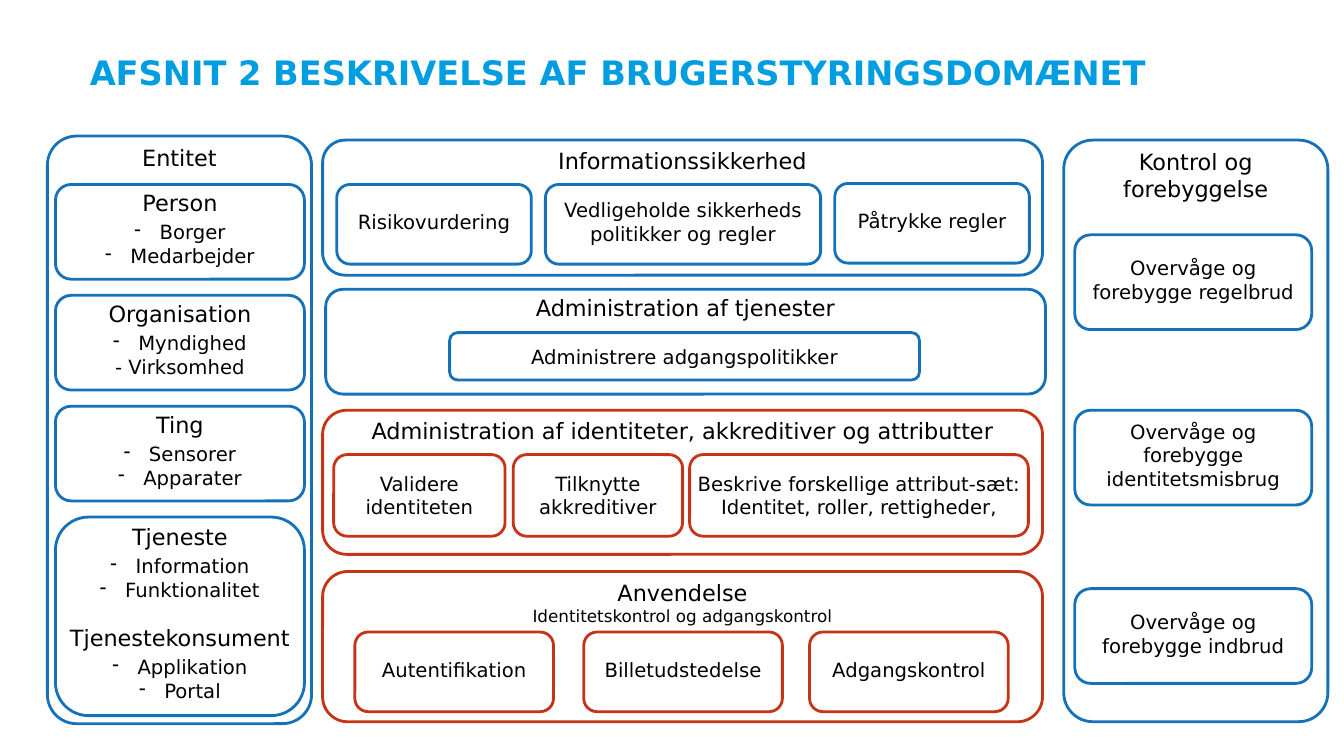
from lxml import etree
from pptx import Presentation
from pptx.dml.color import RGBColor
from pptx.enum.shapes import MSO_SHAPE as Shape
from pptx.enum.text import MSO_ANCHOR as Anchor, MSO_AUTO_SIZE as AutoSize, PP_ALIGN as Align
from pptx.oxml.ns import qn
from pptx.util import Inches, Pt

# Content
FONT = "DejaVu Sans"
BLUE = RGBColor(0x15, 0x72, 0xB9)
RED = RGBColor(0xC6, 0x34, 0x18)
CYAN = RGBColor(0x00, 0x9D, 0xE0)
BLACK = RGBColor(0, 0, 0)
WHITE = RGBColor(255, 255, 255)

TITLE = "AFSNIT 2 BESKRIVELSE AF BRUGERSTYRINGSDOMÆNET"

# Panels: (left, top, width, height), colour, corner, heading lines with sizes
SIDE_CORNER, CORNER = 0.11, 0.1667
PANELS = [
    ((0.47, 1.35, 2.62, 5.83), BLUE, SIDE_CORNER, [("Entitet", 16)]),
    ((10.55, 1.39, 2.62, 5.77), BLUE, SIDE_CORNER, [("Kontrol og forebyggelse", 16)]),
    ((3.2, 1.39, 7.14, 1.34), BLUE, CORNER, [("Informationssikkerhed", 16)]),
    ((3.23, 2.87, 7.14, 1.04), BLUE, CORNER, [("Administration af tjenester", 16)]),
    ((3.2, 4.07, 7.14, 1.43), RED, CORNER,
     [("Administration af identiteter, akkreditiver og attributter", 16)]),
    ((3.2, 5.67, 7.14, 1.49), RED, CORNER,
     [("Anvendelse", 16), ("Identitetskontrol og adgangskontrol", 12)]),
]

# Entities: height, then groups of heading and items
ENTITIES = [
    (0.94, [("Person", ["Borger", "Medarbejder"])]),
    (0.94, [("Organisation", ["Myndighed", "- Virksomhed"])]),
    (0.94, [("Ting", ["Sensorer", "Apparater"])]),
    (1.97, [("Tjeneste", ["Information", "Funktionalitet"]),
            ("Tjenestekonsument", ["Applikation", "Portal"])]),
]
ENTITY_LEFT, ENTITY_TOP, ENTITY_WIDTH, ENTITY_STEP = 0.55, 1.83, 2.47, 1.1

# Activities: (left, top, width, height), text lines; insets are left/right, top, bottom
WIDE, NARROW, PLAIN = (0.1, 0, 0.05), (0.04, 0.05, 0.05), (0.1, 0.05, 0.05)
ACTIVITIES = [
    (BLUE, WIDE, [
        ((3.34, 1.83, 1.93, 0.79), ["Risikovurdering"]),
        ((5.41, 1.83, 2.73, 0.79), ["Vedligeholde sikkerheds politikker og regler"]),
        ((8.28, 1.82, 1.93, 0.79), ["Påtrykke regler"]),
        ((10.66, 2.33, 2.35, 0.94), ["Overvåge og forebygge regelbrud"]),
        ((10.66, 4.07, 2.35, 0.94), ["Overvåge og forebygge identitetsmisbrug"]),
        ((10.66, 5.84, 2.35, 0.94), ["Overvåge og forebygge indbrud"]),
    ]),
    (BLUE, PLAIN, [
        ((4.46, 3.3, 4.66, 0.47), ["Administrere adgangspolitikker"]),
    ]),
    (RED, NARROW, [
        ((3.31, 4.51, 1.7, 0.81), ["Validere", "identiteten"]),
        ((5.09, 4.51, 1.68, 0.81), ["Tilknytte akkreditiver"]),
        ((6.84, 4.51, 3.36, 0.81),
         ["Beskrive forskellige attribut-sæt: Identitet, roller, rettigheder,"]),
    ]),
    (RED, WIDE, [
        ((3.52, 6.27, 1.97, 0.79), ["Autentifikation"]),
        ((5.79, 6.27, 1.97, 0.79), ["Billetudstedelse"]),
        ((8.03, 6.27, 1.97, 0.79), ["Adgangskontrol"]),
    ]),
]


def set_insets(frame, left, top, right, bottom):
    frame.margin_left, frame.margin_top = Inches(left), Inches(top)
    frame.margin_right, frame.margin_bottom = Inches(right), Inches(bottom)


def add_box(page, place, colour, insets, anchor=Anchor.MIDDLE, corner=CORNER):
    box = page.shapes.add_shape(Shape.ROUNDED_RECTANGLE, *map(Inches, place))
    box.adjustments[0] = corner
    box.shadow.inherit = False
    box.fill.solid()
    box.fill.fore_color.rgb = WHITE
    box.line.color.rgb = colour
    box.line.width = Pt(2)
    frame = box.text_frame
    frame.word_wrap = True
    frame.vertical_anchor = anchor
    side, top, bottom = insets
    set_insets(frame, side, top, side, bottom)
    return frame


def add_line(frame, text, size):
    first = frame.paragraphs[0]
    para = frame.add_paragraph() if first.runs else first
    para.add_run().text = text
    para.alignment = Align.CENTER
    para.font.name = FONT
    para.font.size = Pt(size)
    para.font.color.rgb = BLACK
    return para


def add_dash(para):
    properties = para._p.get_or_add_pPr()
    properties.set("marL", str(Inches(0.25)))
    properties.set("indent", str(Inches(-0.25)))
    bullet = etree.Element(qn("a:buChar"), char="-")
    properties.find(qn("a:defRPr")).addprevious(bullet)


deck = Presentation()
deck.slide_width, deck.slide_height = Inches(13.33), Inches(7.5)
page = deck.slides.add_slide(deck.slide_layouts[5])

# Title
title = page.shapes.title
title.left, title.top, title.width, title.height = map(Inches, (0.89, 0.49, 11.55, 0.82))
frame = title.text_frame
frame.text = TITLE
frame.word_wrap = True
frame.auto_size = AutoSize.NONE
frame.vertical_anchor = Anchor.TOP
set_insets(frame, 0, 0.02, 0, 0)
heading = frame.paragraphs[0]
heading.alignment = Align.LEFT
heading.font.name = FONT
heading.font.size = Pt(24)
heading.font.bold = True
heading.font.color.rgb = CYAN

# Panels
for place, colour, corner, lines in PANELS:
    frame = add_box(page, place, colour, WIDE, Anchor.TOP, corner)
    for text, size in lines:
        add_line(frame, text, size)

# Entities
for row, (height, groups) in enumerate(ENTITIES):
    place = (ENTITY_LEFT, ENTITY_TOP + row * ENTITY_STEP, ENTITY_WIDTH, height)
    frame = add_box(page, place, BLUE, (0.04, 0, 0.07))
    for number, (name, items) in enumerate(groups):
        para = add_line(frame, name, 16)
        para.space_after = Pt(3)
        if number:
            para.space_before = Pt(16.3)
        for item in items:
            para = add_line(frame, item, 14)
            if not item.startswith("-"):
                add_dash(para)

# Activities
for colour, insets, boxes in ACTIVITIES:
    for place, lines in boxes:
        frame = add_box(page, place, colour, insets)
        for text in lines:
            add_line(frame, text, 14)

deck.save("out.pptx")
